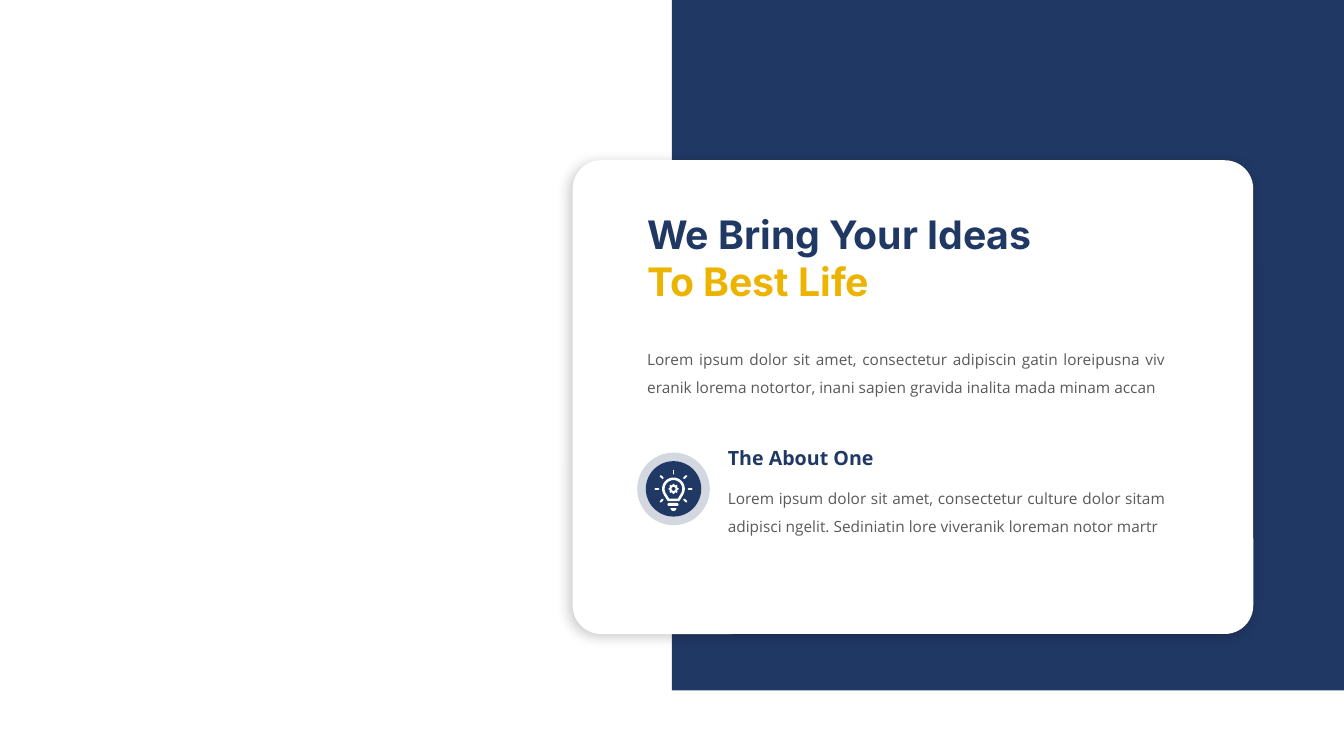
from math import cos, sin, radians
from lxml.etree import SubElement as Sub
from pptx import Presentation
from pptx.dml.color import RGBColor
from pptx.enum.shapes import MSO_SHAPE as Kind, MSO_CONNECTOR as Link
from pptx.enum.text import MSO_ANCHOR as Anchor, MSO_AUTO_SIZE as Fit, PP_ALIGN as Align
from pptx.oxml.ns import qn
from pptx.util import Inches, Pt

NAVY, GOLD, GREY, WHITE = "203864", "ECB400", "595959", "FFFFFF"
HEAD = [("We Bring Your Ideas", NAVY), ("To Best Life", GOLD)]
INTRO = ("Lorem ipsum dolor sit amet, consectetur adipiscin gatin loreipusna viv "
         "eranik lorema notortor, inani sapien gravida inalita mada minam accan")
ABOUT = "The About One"
BODY = ("Lorem ipsum dolor sit amet, consectetur culture dolor sitam "
        "adipisci ngelit. Sediniatin lore viveranik loreman notor martr")
WIDE, HIGH = 13.33, 7.5
LEFT, INDENT, RIGHT = 6.32, 7.12, 11.66
MID_X, MID_Y = 6.68, 4.85

deck = Presentation()
deck.slide_width, deck.slide_height = Inches(WIDE), Inches(HIGH)
slide = deck.slides.add_slide(deck.slide_layouts[5])
shapes = slide.shapes


def tint(code):
    return RGBColor.from_string(code)


def paint(shape, code):
    shape.shadow.inherit = False
    shape.fill.solid()
    shape.fill.fore_color.rgb = tint(code)
    shape.line.fill.background()
    return shape


def block(kind, x, y, w, h, code, round_by=None):
    shape = shapes.add_shape(kind, *map(Inches, (x, y, w, h)))
    if round_by is not None:
        shape.adjustments[0] = round_by
    return paint(shape, code)


def disc(size, code):
    return block(Kind.OVAL, MID_X - size / 2, MID_Y - size / 2, size, size, code)


def shade(shape, code, alpha, blur, dist, turn):
    effect = shape._element.spPr.find(qn("a:effectLst"))
    outer = Sub(effect, qn("a:outerShdw"), blurRad=str(Pt(blur)), dist=str(Pt(dist)),
                dir=str(turn * 60000), algn="ctr", rotWithShape="0")
    color = Sub(outer, qn("a:srgbClr"), val=code)
    Sub(color, qn("a:alpha"), val=str(alpha * 1000))


def polar(size, angle, y=MID_Y):
    turn = radians(angle)
    return Inches(MID_X + size * cos(turn)), Inches(y + size * sin(turn))


def trace(*loops):
    pen = shapes.build_freeform(*loops[0][0], scale=1.0)
    for i, loop in enumerate(loops):
        if i:
            pen.move_to(*loop[0])
        pen.add_line_segments(loop[1:], close=True)
    return paint(pen.convert_to_shape(), WHITE)


def style(run, size, face, code, bold):
    font = run.font
    font.size, font.name, font.bold = Pt(size), face, bold
    font.color.rgb = tint(code)


def write(text, x, y, w, h, size, code, bold=False, flow=False):
    frame = shapes.add_textbox(*map(Inches, (x, y, w, h))).text_frame
    frame.word_wrap, frame.auto_size = True, Fit.SHAPE_TO_FIT_TEXT
    frame.text = text
    para = frame.paragraphs[0]
    if flow:
        para.alignment, para.line_spacing = Align.JUSTIFY, 1.5
    style(para.runs[0], size, "Open Sans", code, bold)


block(Kind.RECTANGLE, WIDE / 2, 0, WIDE / 2, 6.85, NAVY)
card = block(Kind.ROUNDED_RECTANGLE, 5.68, 1.59, 6.75, 4.7, WHITE, 0.06)
shade(card, "000000", 22, 10, 3, 135)

title = shapes.title
shapes._spTree.append(title._element)
title.left, title.top, title.width, title.height = map(Inches, (LEFT, 2.04, 4.54, 1.04))
frame = title.text_frame
frame.word_wrap, frame.auto_size = True, Fit.SHAPE_TO_FIT_TEXT
frame.vertical_anchor = Anchor.TOP
frame.text = "\v".join(text for text, code in HEAD)
frame.paragraphs[0].alignment = Align.LEFT
for run, (text, code) in zip(frame.paragraphs[0].runs, HEAD):
    style(run, 28, "Inter", code, True)

write(INTRO, LEFT, 3.33, RIGHT - LEFT, 0.62, 11, GREY, flow=True)
write(BODY, INDENT, 4.71, RIGHT - INDENT, 0.62, 11, GREY, flow=True)
write(ABOUT, INDENT, 4.37, 2.61, 0.34, 14, NAVY, bold=True)

halo = disc(0.72, NAVY)
color = halo._element.spPr.find(qn("a:solidFill"))[0]
Sub(color, qn("a:alpha"), val="20000")
disc(0.55, NAVY)

teeth = [polar(size, 45 * i + turn) for i in range(8)
         for turn, size in ((-14, 0.04), (-9, 0.05), (9, 0.05), (14, 0.04))]
hole = [polar(0.02, a) for a in range(360, 0, -15)]
trace(teeth, hole)

bulb = trace([polar(0.1, a) for a in range(150, 391, 10)]
             + [(Inches(MID_X + side), Inches(4.96)) for side in (0.05, -0.05)])
bulb.fill.background()
bulb.line.color.rgb, bulb.line.width = tint(WHITE), Pt(1.8)

block(Kind.ROUNDED_RECTANGLE, 6.62, 4.99, 0.11, 0.03, WHITE, 0.5)
trace([polar(0.03, a, 5.04) for a in range(0, 181, 15)])

for angle in range(135, 406, 45):
    ray = shapes.add_connector(Link.STRAIGHT, *polar(0.15, angle), *polar(0.18, angle))
    ray.line.color.rgb, ray.line.width = tint(WHITE), Pt(1.4)
    ray.line._get_or_add_ln().set("cap", "rnd")
    Sub(ray._element.spPr, qn("a:effectLst"))

deck.save("out.pptx")
